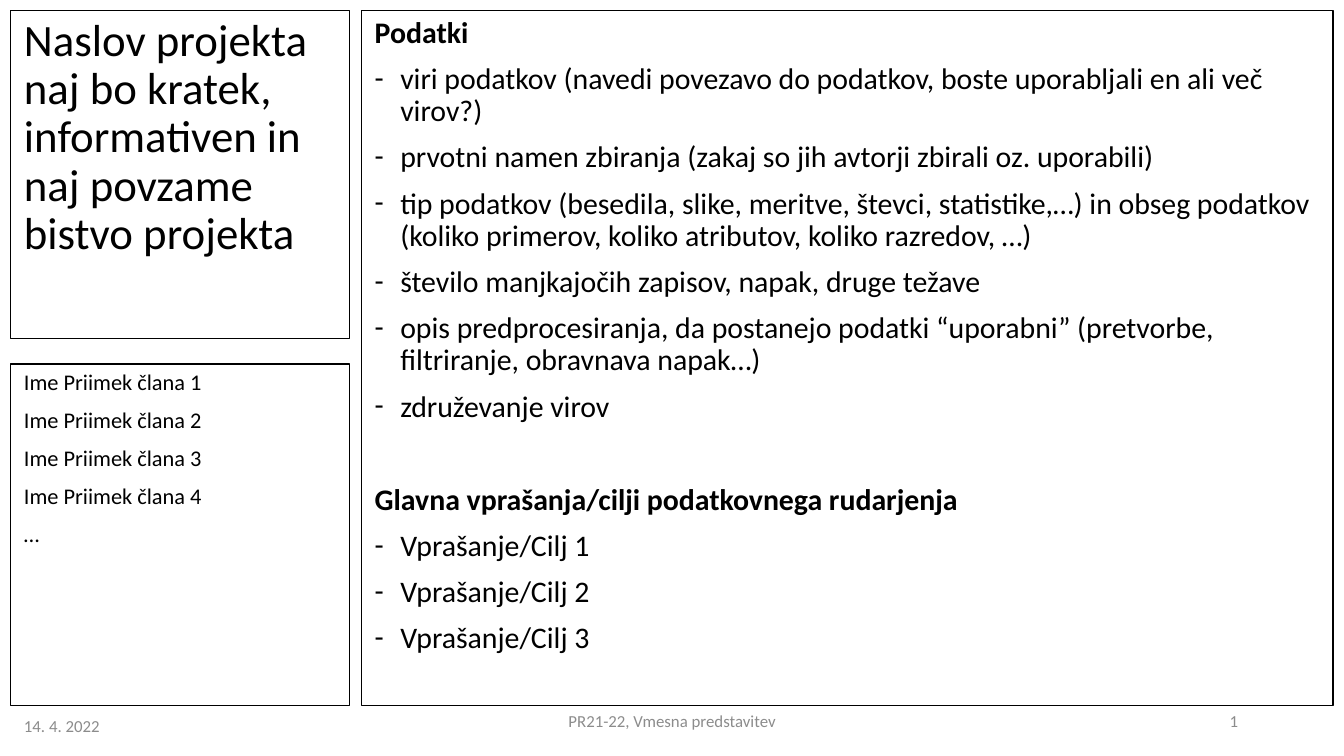
from lxml.etree import SubElement
from pptx import Presentation
from pptx.dml.color import RGBColor
from pptx.enum.shapes import MSO_SHAPE
from pptx.enum.text import MSO_ANCHOR, PP_ALIGN
from pptx.oxml.ns import qn
from pptx.util import Inches, Pt

BLACK = RGBColor(0x00, 0x00, 0x00)
GREY = RGBColor(0x8C, 0x8C, 0x8C)

# Widescreen slide, 16 to 9
deck = Presentation()
deck.slide_width = Inches(10)
deck.slide_height = Inches(10 * 9 / 16)
slide = deck.slides.add_slide(deck.slide_layouts[6])


def write(frame, text, size=16, color=BLACK, bold=False, dash=False,
          align=PP_ALIGN.LEFT, before=7.5, pitch=0.9):
    """Fill the empty first paragraph, or add one after the last."""
    para = frame.paragraphs[0]
    if para.runs:
        para = frame.add_paragraph()
    para.alignment = align
    para.line_spacing = pitch
    para.space_before = Pt(before)
    run = para.add_run()
    run.text = text
    font = run.font
    font.name, font.size, font.bold = "Calibri", Pt(size), bold
    font.color.rgb = color
    if dash:
        props = para._p.get_or_add_pPr()
        props.set("marL", str(Inches(0.19)))
        props.set("indent", str(-Inches(0.19)))
        SubElement(props, qn("a:buFont"), typeface="Calibri")
        SubElement(props, qn("a:buChar"), char="-")


def panel(left, top, width, height):
    """Add an outlined box and return its text frame."""
    box = slide.shapes.add_shape(MSO_SHAPE.RECTANGLE, Inches(left), Inches(top),
                                 Inches(width), Inches(height))
    box.shadow.inherit = False
    box.fill.background()
    box.line.color.rgb = BLACK
    box.line.width = Pt(0.75)
    frame = box.text_frame
    frame.word_wrap = True
    frame.vertical_anchor = MSO_ANCHOR.TOP
    return frame


# Project title
title = panel(0.08, 0.08, 2.52, 2.44)
write(title, "Naslov projekta naj bo kratek, informativen in naj povzame bistvo projekta",
      size=24, before=0)

# Data and goals: the second heading stands one line further down
body = panel(2.69, 0.08, 7.23, 5.17)
parts = [
    ("Podatki", 7.5, [
        "viri podatkov (navedi povezavo do podatkov, boste uporabljali en ali več virov?)",
        "prvotni namen zbiranja (zakaj so jih avtorji zbirali oz. uporabili)",
        "tip podatkov (besedila, slike, meritve, števci, statistike,…) in obseg podatkov "
        "(koliko primerov, koliko atributov, koliko razredov, …)",
        "število manjkajočih zapisov, napak, druge težave",
        "opis predprocesiranja, da postanejo podatki “uporabni” "
        "(pretvorbe, filtriranje, obravnava napak…)",
        "združevanje virov",
    ]),
    ("Glavna vprašanja/cilji podatkovnega rudarjenja", 32.5,
     [f"Vprašanje/Cilj {n}" for n in range(1, 4)]),
]
for head, gap, items in parts:
    write(body, head, bold=True, before=gap)
    for item in items:
        write(body, item, dash=True)

# Team members
team = panel(0.08, 2.71, 2.52, 2.54)
for name in [f"Ime Priimek člana {n}" for n in range(1, 5)] + ["…"]:
    write(team, name, size=12)

# Footer: date, course, page number
for text, left, top, width, align in [
    ("14. 4. 2022", 0.08, 5.25, 4.11, PP_ALIGN.LEFT),
    ("PR21-22, Vmesna predstavitev", 3.31, 5.21, 3.38, PP_ALIGN.CENTER),
    ("1", 7.06, 5.21, 2.25, PP_ALIGN.RIGHT),
]:
    note = slide.shapes.add_textbox(Inches(left), Inches(top), Inches(width), Inches(0.3))
    note.text_frame.word_wrap = True
    note.text_frame.vertical_anchor = MSO_ANCHOR.MIDDLE
    write(note.text_frame, text, size=9, color=GREY, align=align, before=0, pitch=1.0)

deck.save("out.pptx")
